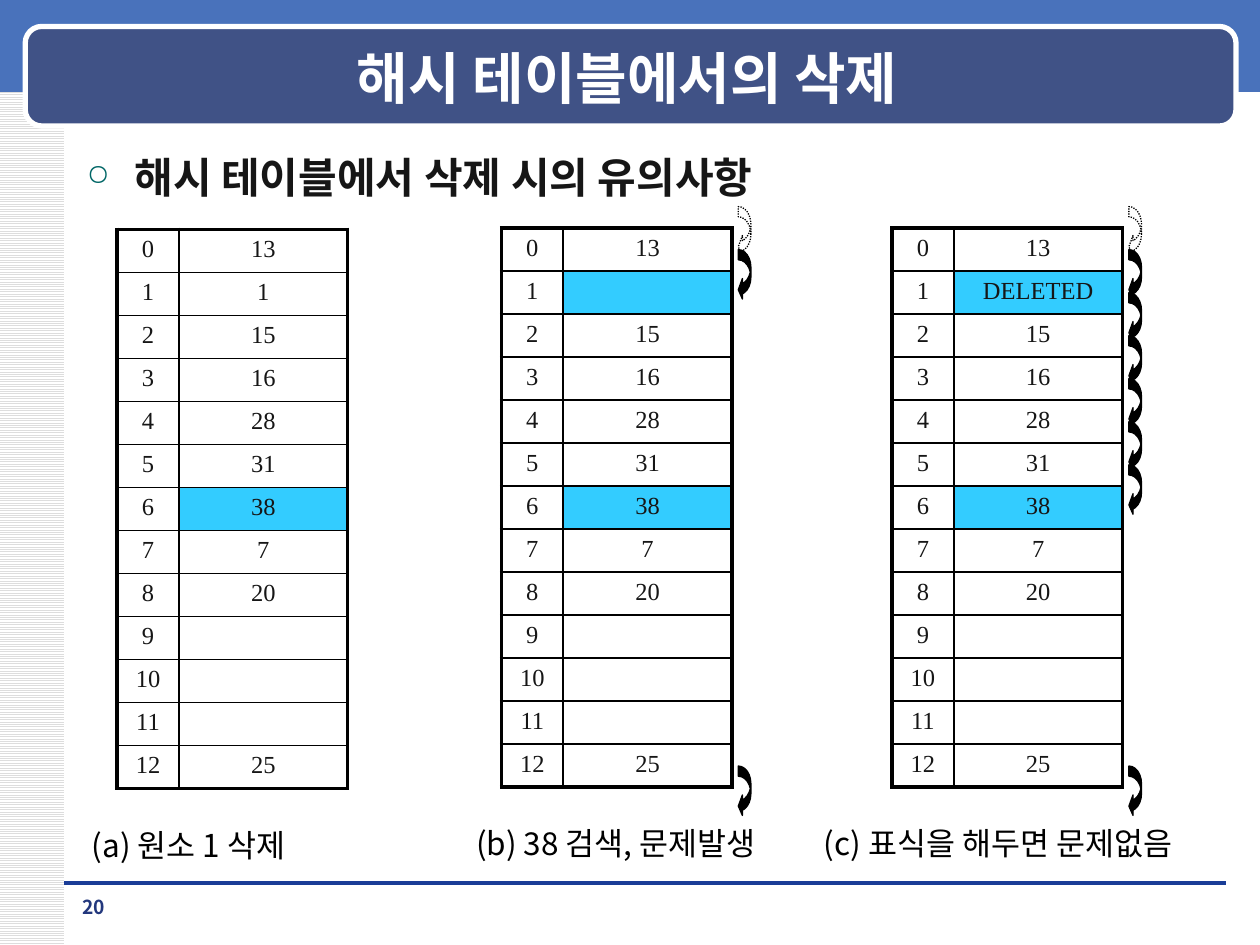
from lxml import etree
from pptx import Presentation
from pptx.dml.color import RGBColor
from pptx.enum.dml import MSO_LINE, MSO_PATTERN
from pptx.enum.shapes import MSO_CONNECTOR, MSO_SHAPE
from pptx.enum.text import MSO_ANCHOR, PP_ALIGN
from pptx.oxml.ns import qn
from pptx.util import Inches, Pt

CENTER, LEFT = PP_ALIGN.CENTER, PP_ALIGN.LEFT
TOP, MIDDLE = MSO_ANCHOR.TOP, MSO_ANCHOR.MIDDLE
RECTANGLE, ROUNDED = MSO_SHAPE.RECTANGLE, MSO_SHAPE.ROUNDED_RECTANGLE
CURVED_ARROW = MSO_SHAPE.CURVED_LEFT_ARROW

WHITE = RGBColor(0xFF, 0xFF, 0xFF)
BLACK = RGBColor(0x00, 0x00, 0x00)
INK = RGBColor(0x16, 0x16, 0x16)
STRIPE = RGBColor(0xDD, 0xDD, 0xDD)
BAND = RGBColor(0x49, 0x72, 0xBB)
PLATE = RGBColor(0x40, 0x52, 0x86)
RULE = RGBColor(0x1A, 0x3D, 0x97)
PAGE_NUMBER = RGBColor(0x23, 0x38, 0x7D)
BULLET = RGBColor(0x00, 0x66, 0x66)
HIGHLIGHT = RGBColor(0x33, 0xCC, 0xFF)

SANS, SERIF = "Noto Sans CJK KR", "Times New Roman"

TITLE = "해시 테이블에서의 삭제"
HEADING = "해시 테이블에서 삭제 시의 유의사항"
SLOTS = ["13", "1", "15", "16", "28", "31", "38", "7", "20", "", "", "", "25"]

# Each probe number is the row an arrow leads to; row 0 is the first, dotted probe.
HASH_TABLES = [
    {"at": (0.93, 1.82), "slot_1": "1", "marked": [6], "probes": [],
     "caption": "(a) 원소 1 삭제", "caption_at": (0.63, 6.51, 1.99)},
    {"at": (3.98, 1.81), "slot_1": "", "marked": [1, 6], "probes": [0, 1, 13],
     "caption": "(b) 38 검색, 문제발생", "caption_at": (3.68, 6.49, 2.62)},
    {"at": (7.08, 1.81), "slot_1": "DELETED", "marked": [1, 6],
     "probes": [0, 1, 2, 3, 4, 5, 6, 13],
     "caption": "(c) 표식을 해두면 문제없음", "caption_at": (6.44, 6.49, 3.27)},
]
COLUMNS = (0.49, 1.34)
TABLE_HEIGHT = 4.44
ROW_HEIGHT = TABLE_HEIGHT / len(SLOTS)
OUTER_LINE, INNER_LINE = 2.25, 1
ARROW_GAP, ARROW_RISE = 0.05, 0.17
ARROW_SIZE = (0.1, 0.4)


def inches(*lengths):
    return [Inches(length) for length in lengths]


def add_span(para, text, size, color, font=SANS, bold=False):
    span = para.add_run()
    span.text = text
    span.font.size = Pt(size)
    span.font.bold = bold
    span.font.color.rgb = color
    span.font.name = font
    etree.SubElement(span.font._element, qn("a:ea"), typeface=font)


def add_text(page, at, text, size, color, bold=False, align=LEFT,
             anchor=TOP, wrap=True):
    frame = page.shapes.add_textbox(*inches(*at)).text_frame
    frame.word_wrap = wrap
    frame.vertical_anchor = anchor
    para = frame.paragraphs[0]
    para.alignment = align
    add_span(para, text, size, color, bold=bold)
    return para


def add_plain_shape(page, kind, at):
    shape = page.shapes.add_shape(kind, *inches(*at))
    shape.shadow.inherit = False
    shape.line.fill.background()
    return shape


def fill_solid(shape, color):
    shape.fill.solid()
    shape.fill.fore_color.rgb = color


def set_line(shape, color, width):
    shape.line.color.rgb = color
    shape.line.width = Pt(width)


def add_bullet(para):
    props = para._p.get_or_add_pPr()
    props.set("marL", str(Inches(0.38)))
    props.set("indent", str(Inches(-0.38)))
    color = etree.SubElement(props, qn("a:buClr"))
    etree.SubElement(color, qn("a:srgbClr"), val=str(BULLET))
    etree.SubElement(props, qn("a:buSzPct"), val="70000")
    etree.SubElement(props, qn("a:buChar"), char="○")


def set_borders(cell, widths):
    props = cell._tc.get_or_add_tcPr()
    for side, width in widths.items():
        line = etree.SubElement(props, qn("a:ln" + side), w=str(Pt(width)))
        fill = etree.SubElement(line, qn("a:solidFill"))
        etree.SubElement(fill, qn("a:srgbClr"), val=str(BLACK))


def fill_cell(cell, text, marked):
    para = cell.text_frame.paragraphs[0]
    para.alignment = CENTER
    if text:
        add_span(para, text, 14, INK, SERIF)
    else:
        etree.SubElement(para._p, qn("a:endParaRPr"), sz="1400")
    if marked:
        fill_solid(cell, HIGHLIGHT)
    else:
        cell.fill.background()


def add_hash_table(page, content):
    left, top = content["at"]
    last = len(SLOTS) - 1
    table = page.shapes.add_table(
        len(SLOTS), 2, *inches(left, top, sum(COLUMNS), TABLE_HEIGHT)).table
    table.first_row = table.horz_banding = False
    for column, width in zip(table.columns, COLUMNS):
        column.width = Inches(width)
    for row, slot in enumerate(SLOTS):
        table.rows[row].height = Inches(ROW_HEIGHT)
        value = content["slot_1"] if row == 1 else slot
        for column, text in enumerate((str(row), value)):
            cell = table.cell(row, column)
            on_edge = {"L": column == 0, "R": column == 1,
                       "T": row == 0, "B": row == last}
            set_borders(cell, {side: OUTER_LINE if outer else INNER_LINE
                               for side, outer in on_edge.items()})
            fill_cell(cell, text, column == 1 and row in content["marked"])


def add_probe_arrows(page, content):
    left, top = content["at"]
    x = left + sum(COLUMNS) + ARROW_GAP
    for row in content["probes"]:
        y = top - ARROW_RISE + row * ROW_HEIGHT
        arrow = add_plain_shape(page, CURVED_ARROW, (x, y, *ARROW_SIZE))
        for index, share in enumerate((0.81, 1.63, 0.33)):
            arrow.adjustments[index] = share
        set_line(arrow, BLACK, 0.75)
        if row == 0:
            arrow.fill.background()
            arrow.line.dash_style = MSO_LINE.ROUND_DOT
        else:
            fill_solid(arrow, BLACK)


def add_frame(page):
    """Draw the striped margin, the title plate and the footer rule."""
    margin = add_plain_shape(page, RECTANGLE, (0, 0, 0.51, 7.5))
    margin.fill.patterned()
    margin.fill.pattern = MSO_PATTERN.LIGHT_HORIZONTAL
    margin.fill.fore_color.rgb = STRIPE
    margin.fill.back_color.rgb = WHITE
    fill_solid(add_plain_shape(page, RECTANGLE, (0, -0.03, 10, 0.76)), BAND)
    rule = page.shapes.add_connector(
        MSO_CONNECTOR.STRAIGHT, *inches(0.51, 7.01, 9.73, 7.01))
    set_line(rule, RULE, 0)
    etree.SubElement(rule._element.spPr, qn("a:effectLst"))
    plate = add_plain_shape(page, ROUNDED, (0.2, 0.21, 9.61, 0.79))
    fill_solid(plate, PLATE)
    set_line(plate, WHITE, 3)


def main():
    deck = Presentation()
    deck.slide_width, deck.slide_height = inches(10, 7.5)
    page = deck.slides.add_slide(deck.slide_layouts[6])
    add_frame(page)
    add_text(page, (0.71, 0.3, 8.54, 0.62), TITLE, 32, WHITE, True, CENTER, MIDDLE)
    add_text(page, (0.51, 7.06, 0.47, 0.27), "20", 11, PAGE_NUMBER, True, CENTER)
    add_bullet(add_text(page, (0.59, 1.15, 8.9, 5.75), HEADING, 24, INK, True))
    for content in HASH_TABLES:
        add_hash_table(page, content)
        add_probe_arrows(page, content)
        add_text(page, (*content["caption_at"], 0.4), content["caption"],
                 18, BLACK, wrap=False)
    deck.save("out.pptx")


if __name__ == "__main__":
    main()
